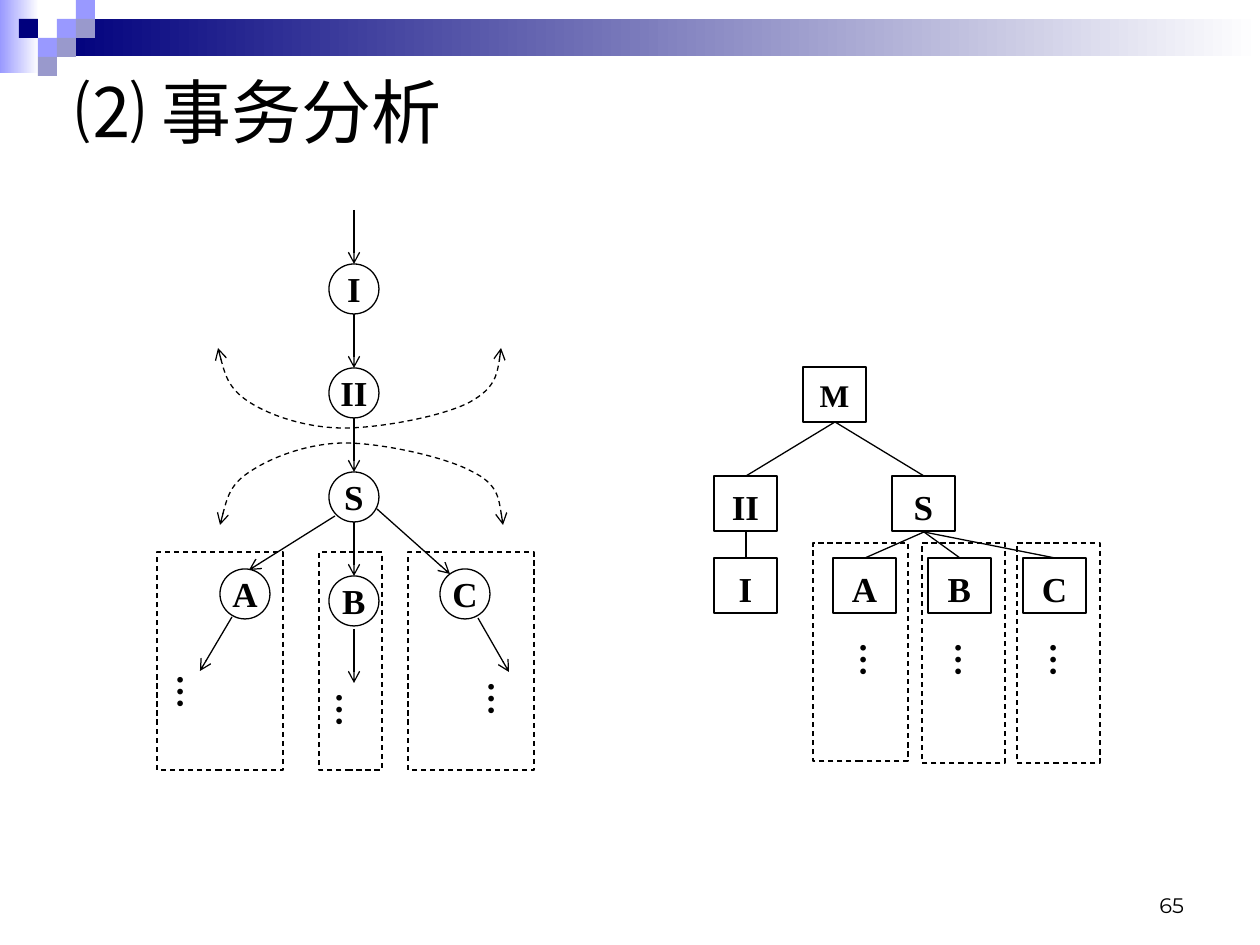
from dataclasses import dataclass

from lxml.etree import SubElement
from pptx import Presentation
from pptx.dml.color import RGBColor
from pptx.enum.dml import MSO_LINE
from pptx.enum.shapes import MSO_CONNECTOR, MSO_SHAPE
from pptx.enum.text import MSO_ANCHOR, MSO_AUTO_SIZE, PP_ALIGN
from pptx.oxml.ns import qn
from pptx.util import Emu, Pt


@dataclass(frozen=True)
class Theme:
    """Colours, fonts and type sizes of the slide."""
    ink: str = "000000"
    paper: str = "FFFFFF"
    navy: str = "00007D"
    lilac: str = "9999FF"
    slate: str = "9999CC"
    serif: str = "Times New Roman"
    sans: str = "Montserrat"
    title: int = 40
    label: int = 20
    root: int = 18
    number: int = 12
    line: float = 0.75


THEME = Theme()
SCALE = 914400 / 126
CELL = 19
BOX_W, BOX_H = 63, 55
DISC = 50
DOTS_H = 82


def px(n):
    """Turn pixels into EMU."""
    return Emu(round(n * SCALE))


def rgb(value):
    """Turn a hex string into a colour."""
    return RGBColor.from_string(value)


def set_attrs(obj, values):
    """Set several attributes of an object."""
    for name, value in values.items():
        setattr(obj, name, value)


def write(sp, text, size, font=THEME.serif, bold=True, align=PP_ALIGN.CENTER,
          anchor=MSO_ANCHOR.TOP, insets=(0, 0, 0, 0), spacing=None, vert=None):
    """Put one formatted paragraph into a shape."""
    tf = sp.text_frame
    sides = ("margin_left", "margin_top", "margin_right", "margin_bottom")
    set_attrs(tf, {"word_wrap": True, "auto_size": MSO_AUTO_SIZE.NONE,
                   "vertical_anchor": anchor})
    set_attrs(tf, {side: px(n) for side, n in zip(sides, insets)})
    if vert:
        tf._txBody.bodyPr.set("vert", vert)
    p = tf.paragraphs[0]
    set_attrs(p, {"alignment": align, "line_spacing": spacing})
    r = p.add_run()
    r.text = text
    set_attrs(r.font, {"name": font, "size": Pt(size), "bold": bold})
    r.font.color.rgb = rgb(THEME.ink)


def stroke(sp, dashed=False, head=False, tail=False):
    """Give a shape or connector its thin line and arrowheads."""
    sp.line.color.rgb = rgb(THEME.ink)
    sp.line.width = Pt(THEME.line)
    if dashed:
        sp.line.dash_style = MSO_LINE.DASH
    ln = sp.element.spPr.get_or_add_ln()
    for tag, wanted in (("a:headEnd", head), ("a:tailEnd", tail)):
        if wanted:
            SubElement(ln, qn(tag), type="arrow")


def add_outline(s, x, y, w, h, kind=MSO_SHAPE.RECTANGLE, dashed=False):
    """Add an unfilled outlined shape."""
    sp = s.shapes.add_shape(kind, px(x), px(y), px(w), px(h))
    sp.shadow.inherit = False
    sp.fill.background()
    stroke(sp, dashed)
    return sp


def add_block(s, x, y, w, h, color, fade=False):
    """Add a borderless block, solid or fading to white on the right."""
    sp = s.shapes.add_shape(MSO_SHAPE.RECTANGLE, px(x), px(y), px(w), px(h))
    sp.shadow.inherit = False
    sp.line.fill.background()
    if fade:
        sp.fill.gradient()
        sp.fill.gradient_angle = 0
        for stop, value in zip(sp.fill.gradient_stops, (color, THEME.paper)):
            stop.color.rgb = rgb(value)
    else:
        sp.fill.solid()
        sp.fill.fore_color.rgb = rgb(color)


def add_line(s, x1, y1, x2, y2, arrow=False):
    """Add a straight connector."""
    c = s.shapes.add_connector(MSO_CONNECTOR.STRAIGHT, px(x1), px(y1), px(x2), px(y2))
    stroke(c, tail=arrow)
    SubElement(c.element.spPr, qn("a:effectLst"))


def add_curve(s, start, points):
    """Add a dashed two-headed curve through cubic control points."""
    fb = s.shapes.build_freeform(px(start[0]), px(start[1]), scale=1.0)
    fb.add_line_segments([(px(x), px(y)) for x, y in points], close=False)
    sp = fb.convert_to_shape()
    outline = next(sp.element.iter(qn("a:path")))
    segments = outline.findall(qn("a:lnTo"))
    for i in range(0, len(segments), 3):
        cubic = SubElement(outline, qn("a:cubicBezTo"))
        for segment in segments[i:i + 3]:
            cubic.append(segment[0])
            outline.remove(segment)
    sp.shadow.inherit = False
    sp.fill.background()
    stroke(sp, dashed=True, head=True, tail=True)


def add_dots(s, x, y, insets):
    """Add a vertical ellipsis."""
    sp = s.shapes.add_textbox(px(x), px(y), px(BOX_W), px(DOTS_H))
    write(sp, "…", THEME.label, align=PP_ALIGN.JUSTIFY, insets=insets, vert="eaVert")


def add_module(s, text, x, y, size=THEME.label):
    """Add a labelled module box."""
    sp = add_outline(s, x, y, BOX_W, BOX_H)
    write(sp, text, size, insets=(3, 1, 3, 1), spacing=1.2)


def add_process(s, text, x, y):
    """Add a labelled process circle."""
    sp = add_outline(s, x, y, DISC, DISC, MSO_SHAPE.OVAL)
    write(sp, text, THEME.label, anchor=MSO_ANCHOR.MIDDLE)


def add_header(s):
    """Add the gradient band and its mosaic of squares."""
    add_block(s, 0, 0, 39, 73, THEME.lilac, fade=True)
    add_block(s, 57, CELL, 1203, 2 * CELL - 1, THEME.navy, fade=True)
    mosaic = {THEME.lilac: [(3, 1), (4, 0), (2, 2)],
              THEME.slate: [(4, 1), (3, 2), (2, 3)],
              THEME.navy: [(1, 1)]}
    for color, cells in mosaic.items():
        for col, row in cells:
            add_block(s, col * CELL, row * CELL, CELL, CELL, color)


def add_title(s, text):
    """Place and fill the title placeholder."""
    sp = s.shapes.title
    set_attrs(sp, {"left": px(63), "top": px(55), "width": px(1134), "height": px(112)})
    write(sp, text, THEME.title, bold=False, align=PP_ALIGN.LEFT,
          anchor=MSO_ANCHOR.MIDDLE, insets=(13, 6, 13, 6))


def add_flow(s):
    """Add the data flow diagram on the left."""
    add_curve(s, (218, 348), [(223, 368), (228, 388), (249, 402), (271, 416), (307, 428),
                              (344, 428), (381, 428), (444, 416), (470, 402), (495, 388),
                              (499, 368), (501, 348)])
    add_curve(s, (220, 525), [(225, 505), (230, 484), (251, 471), (272, 457), (309, 443),
                              (345, 443), (382, 443), (445, 457), (471, 471), (498, 484),
                              (500, 505), (503, 525)])
    for x, w in ((157, 126), (319, 63), (408, 126)):
        add_outline(s, x, 552, w, 218, dashed=True)
    for i, text in enumerate(("I", "II", "S", "B")):
        y = 264 + 104 * i
        add_line(s, 354, y - 54, 354, y, arrow=True)
        add_process(s, text, 329, y)
    for text, x in (("A", 220), ("C", 440)):
        add_process(s, text, x, 569)
    for ends in ((335, 516, 249, 570), (377, 509, 450, 574), (232, 617, 200, 671),
                 (354, 629, 354, 683), (478, 618, 509, 672)):
        add_line(s, *ends, arrow=True)
    for x, y in ((160, 674), (319, 692), (471, 682)):
        add_dots(s, x, y, (0, 0, 10, 0))


def add_structure(s):
    """Add the module structure chart on the right."""
    add_module(s, "M", 803, 367, THEME.root)
    for text, x, y in (("II", 714, 476), ("I", 714, 558), ("S", 892, 476)):
        add_module(s, text, x, y)
    for x in (746, 924):
        add_line(s, 835, 422, x, 476)
    add_line(s, 746, 531, 746, 558)
    frames = ((813, 95, 218), (922, 83, 220), (1017, 83, 220))
    for i, (text, (frame_x, w, h)) in enumerate(zip("ABC", frames)):
        x = 833 + 95 * i
        add_module(s, text, x, 558)
        add_line(s, 924, 532, x + 32, 558)
        add_dots(s, x, 640, (1, 3, 0, 3))
        add_outline(s, frame_x, 543, w, h, dashed=True)


def main():
    """Build and save the slide."""
    prs = Presentation()
    prs.slide_width, prs.slide_height = px(1260), px(945)
    s = prs.slides.add_slide(prs.slide_layouts[5])
    add_header(s)
    add_title(s, "⑵ 事务分析")
    add_structure(s)
    add_flow(s)
    number = s.shapes.add_textbox(px(903), px(861), px(294), px(63))
    write(number, "65", THEME.number, THEME.sans, False, PP_ALIGN.RIGHT,
          MSO_ANCHOR.BOTTOM, (13, 6, 13, 6))
    prs.save("out.pptx")


if __name__ == "__main__":
    main()
